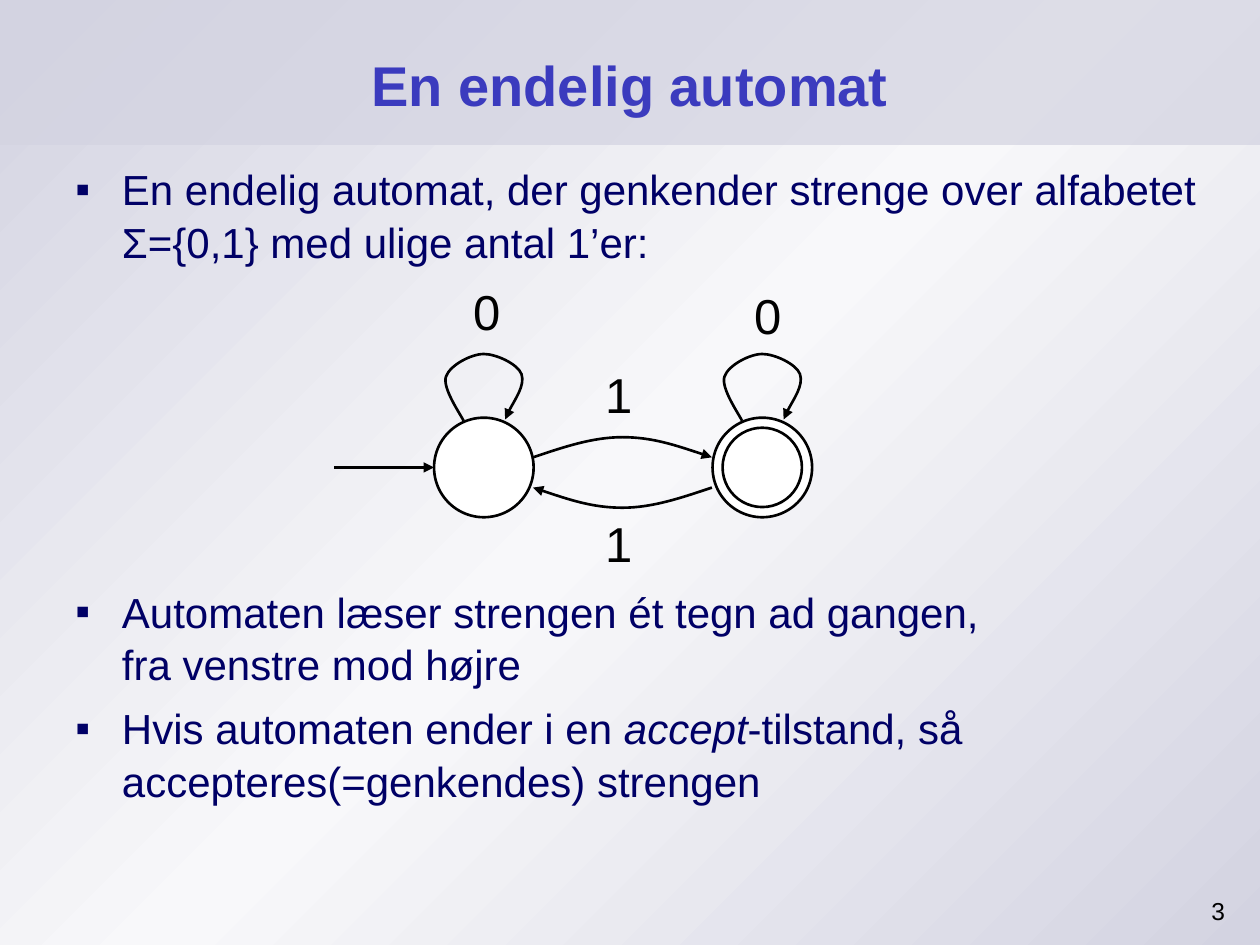
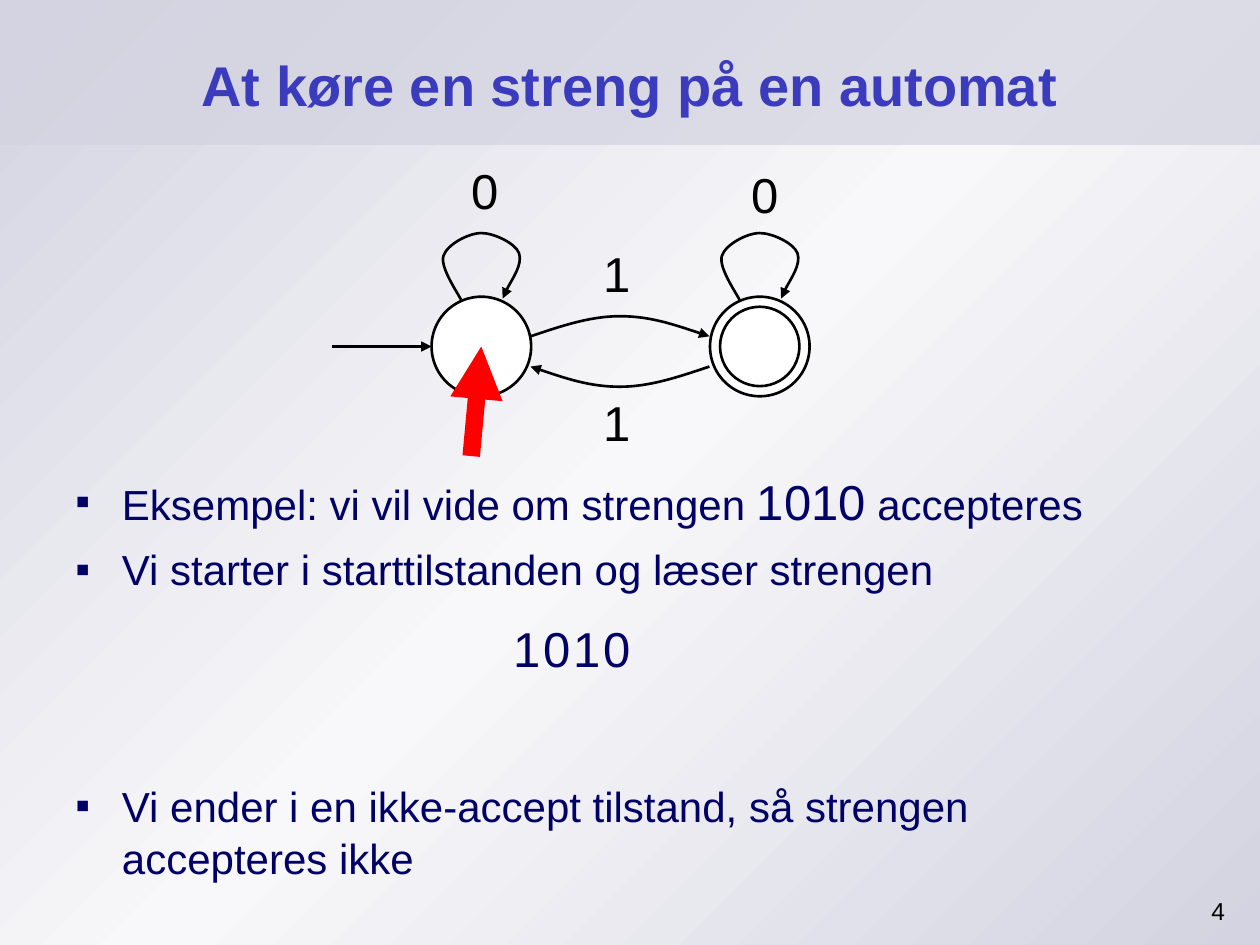
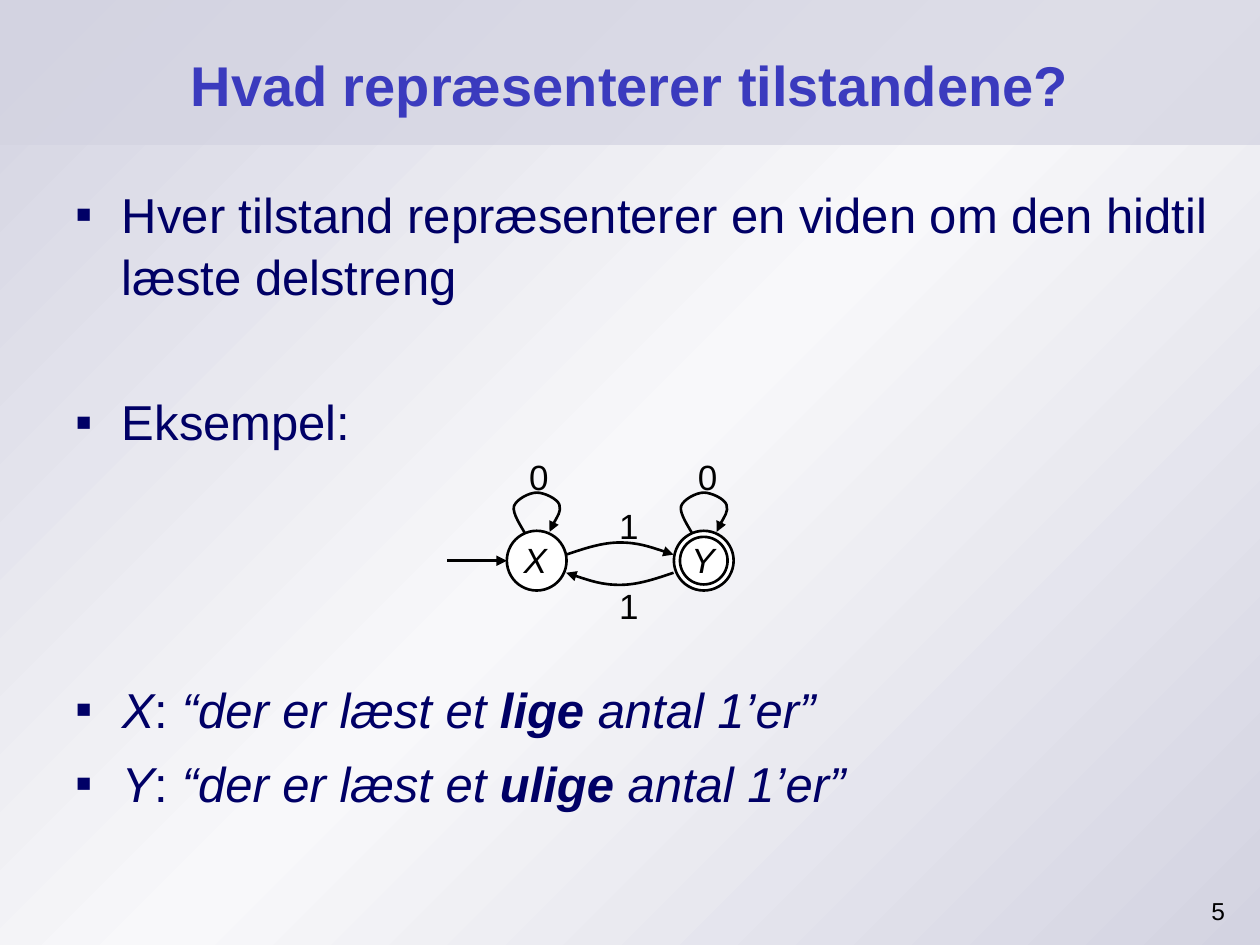
from lxml.etree import SubElement
from pptx import Presentation
from pptx.dml.color import RGBColor
from pptx.enum.shapes import MSO_CONNECTOR, MSO_SHAPE
from pptx.enum.text import MSO_ANCHOR, PP_ALIGN
from pptx.oxml.ns import qn
from pptx.util import Inches, Pt

COLUMNS, ROWS = 100, 75
NAVY, VIOLET, BLACK = "000066", "3B3BBE", "000000"
WHITE, HAZE, MIST, RED = "FFFFFF", "D3D3E1", "F8F8FA", "FF0000"
FONT = "Arial"
LINE_SPACING = 1.05
LINE_HEIGHT = 1.15 * LINE_SPACING
ITALIC, BOLD_ITALIC = {"italic": True}, {"italic": True, "bold": True}

STATE_RADIUS, ACCEPT_RADIUS, STATE_GAP = 3.95, 3.15, 22.1
LOOP = [(-1.6, -3.7), (-1.9, -4.3), (-3.3, -6.3), (-3, -7.2),
        (-2.7, -8.1), (-1, -9), (0, -9), (1, -9), (2.7, -8.2),
        (3, -7.4), (3.3, -6.5), (1.9, -4.5), (1.7, -3.8)]
FORWARD = [(3.9, -0.8), (6.3, -1.6), (8.6, -2.4), (11, -2.4),
           (13.4, -2.4), (15.7, -1.6), (18.1, -0.8)]
BACKWARD = [(22 - x, 0.8 - y) for x, y in FORWARD]
LABELS = [("0", 0.2, -12.4), ("0", 22.5, -12.1), ("1", 10.7, -5.8), ("1", 10.7, 6)]
SMALL_LABELS = [("0", 0.3, -11.2), ("0", 22.6, -11.2), ("1", 12.2, -4.6), ("1", 12.2, 5.9)]


def color(value):
    """Turn a hex string into a colour."""
    return RGBColor.from_string(value)


class Deck:
    """Hold the shared style and the current slide."""

    def __init__(self):
        """Start an empty presentation on the grid."""
        self.presentation = Presentation()
        self.presentation.slide_width = Inches(10)
        self.presentation.slide_height = Inches(7.5)
        self.slide = None

    def across(self, columns):
        """Convert grid columns to a length."""
        return round(self.presentation.slide_width * columns / COLUMNS)

    def down(self, rows):
        """Convert grid rows to a length."""
        return round(self.presentation.slide_height * rows / ROWS)

    def place(self, left, top, width, height):
        """Convert a grid rectangle to lengths."""
        return self.across(left), self.down(top), self.across(width), self.down(height)

    def new_slide(self, title, number):
        """Add a slide with its background, band, title and number."""
        self.slide = self.presentation.slides.add_slide(self.presentation.slide_layouts[6])
        self.backdrop()
        self.band()
        frame = self.text_frame(5, 1.7, 90, 9.9)
        frame.vertical_anchor = MSO_ANCHOR.MIDDLE
        self.line_of_text(frame, title, 32, VIOLET, PP_ALIGN.CENTER, bold=True)
        frame = self.text_frame(90.2, 70.6, 8, 3.9)
        self.line_of_text(frame, str(number), 14, BLACK, PP_ALIGN.RIGHT)

    def shape(self, kind, left, top, width, height, fill=WHITE):
        """Add a filled preset shape without a line."""
        shape = self.slide.shapes.add_shape(kind, *self.place(left, top, width, height))
        shape.shadow.inherit = False
        shape.fill.solid()
        shape.fill.fore_color.rgb = color(fill)
        shape.line.fill.background()
        return shape

    def backdrop(self):
        """Cover the slide with the diagonal gradient."""
        shape = self.shape(MSO_SHAPE.RECTANGLE, 0, 0, COLUMNS, ROWS)
        shape.fill.gradient()
        gradient = shape.element.spPr.find(qn("a:gradFill"))
        stops = gradient.find(qn("a:gsLst"))
        for stop in list(stops):
            stops.remove(stop)
        for position, value in ((0, HAZE), (50, MIST), (100, HAZE)):
            stop = SubElement(stops, qn("a:gs"), pos=str(position * 1000))
            SubElement(stop, qn("a:srgbClr"), val=value)
        shape.fill.gradient_angle = 135

    def band(self):
        """Add the translucent title band."""
        shape = self.shape(MSO_SHAPE.RECTANGLE, 0, 0, COLUMNS, 11.5, HAZE)
        value = shape.element.spPr.find(f"{qn('a:solidFill')}/{qn('a:srgbClr')}")
        SubElement(value, qn("a:alpha"), val="72000")

    def text_frame(self, left, top, width, height):
        """Add a wrapping text box and return its frame."""
        box = self.slide.shapes.add_textbox(*self.place(left, top, width, height))
        box.text_frame.word_wrap = True
        return box.text_frame

    def run(self, paragraph, text, size, value, bold=False, italic=False):
        """Add one styled run."""
        run = paragraph.add_run()
        run.text = text
        font = run.font
        font.name, font.size, font.bold, font.italic = FONT, Pt(size), bold, italic
        font.color.rgb = color(value)

    def line_of_text(self, frame, text, size, value, alignment, **style):
        """Write a single aligned line into a frame."""
        paragraph = frame.paragraphs[0]
        paragraph.alignment = alignment
        self.run(paragraph, text, size, value, **style)

    def label(self, text, x, y, size=28, value=BLACK, **style):
        """Centre a short text on a grid point."""
        frame = self.text_frame(x - 2, y - 2.85, 4, 5.7)
        frame.word_wrap = False
        frame.vertical_anchor = MSO_ANCHOR.MIDDLE
        self.line_of_text(frame, text, size, value, PP_ALIGN.CENTER, **style)

    def bullets(self, top, height, size, before, items):
        """Write bullets, each below a gap of a number of lines."""
        frame = self.text_frame(5, top, 92.3, height)
        for index, (gap_lines, runs) in enumerate(items):
            paragraph = frame.paragraphs[0] if index == 0 else frame.add_paragraph()
            self.bullet_mark(paragraph)
            paragraph.line_spacing = LINE_SPACING
            if index:
                paragraph.space_before = Pt(round(before + gap_lines))
            for text, style in runs:
                for part, piece in enumerate(text.split("\n")):
                    if part:
                        paragraph.add_line_break()
                    self.run(paragraph, piece, **{"size": size, "value": NAVY, **style})

    def bullet_mark(self, paragraph):
        """Give a paragraph a hanging square bullet."""
        properties = paragraph._p.get_or_add_pPr()
        properties.set("marL", str(self.across(3.7)))
        properties.set("indent", str(-self.across(3.7)))
        SubElement(SubElement(properties, qn("a:buClr")), qn("a:srgbClr"), val=NAVY)
        SubElement(properties, qn("a:buFont"), typeface=FONT)
        SubElement(properties, qn("a:buChar"), char="▪")

    def outline(self, shape, width=1.5, value=BLACK, arrow=False):
        """Style a line and give it an arrowhead if asked."""
        shape.line.color.rgb = color(value)
        shape.line.width = Pt(width)
        if arrow:
            SubElement(shape.element.spPr.find(qn("a:ln")), qn("a:tailEnd"), type="triangle")

    def arrow(self, start, end, width=1.5, value=BLACK):
        """Draw a straight arrow between grid points."""
        connector = self.slide.shapes.add_connector(
            MSO_CONNECTOR.STRAIGHT, *self.place(*start, *end))
        self.outline(connector, width, value, arrow=True)
        SubElement(connector.element.spPr, qn("a:effectLst"))

    def curve(self, points):
        """Draw a curved arrow through Bezier grid points."""
        start, *others = [(self.across(x), self.down(y)) for x, y in points]
        builder = self.slide.shapes.build_freeform(*start)
        builder.add_line_segments(others, close=False)
        shape = builder.convert_to_shape()
        shape.shadow.inherit = False
        shape.fill.background()
        self.outline(shape, arrow=True)
        track = next(shape.element.iter(qn("a:path")))
        segments = track.findall(qn("a:lnTo"))
        for first in range(0, len(segments), 3):
            bend = SubElement(track, qn("a:cubicBezTo"))
            for segment in segments[first:first + 3]:
                bend.append(segment[0])
                track.remove(segment)

    def state(self, x, y, radius):
        """Draw a state circle around a grid point."""
        circle = self.shape(MSO_SHAPE.OVAL, x - radius, y - radius, 2 * radius, 2 * radius)
        self.outline(circle)

    def automaton(self, x, y, scale=1, labels=LABELS, label_size=28):
        """Draw the two-state automaton from the centre of its start state."""
        def spot(point, shift=0):
            """Scale a diagram point onto the grid."""
            return x + (point[0] + shift) * scale, y + point[1] * scale

        for shift in (0, STATE_GAP):
            self.state(*spot((shift, 0)), STATE_RADIUS * scale)
        self.state(*spot((STATE_GAP, 0)), ACCEPT_RADIUS * scale)
        self.arrow(spot((-3 * STATE_RADIUS, 0)), spot((-STATE_RADIUS, 0)))
        for points, shift in ((LOOP, 0), (LOOP, STATE_GAP), (FORWARD, 0), (BACKWARD, 0)):
            self.curve([spot(point, shift) for point in points])
        for text, *point in labels:
            self.label(text, *spot(point), label_size)


def blank(lines, size, before):
    """Return the points that a number of empty lines would take."""
    return lines * (size * LINE_HEIGHT + before)


def main():
    """Build the three slides and save them."""
    deck = Deck()

    deck.new_slide("En endelig automat", 3)
    deck.bullets(12.3, 60.6, 24, 6, [
        (0, [("En endelig automat, der genkender strenge over alfabetet "
              "Σ={0,1} med ulige antal 1’er:", {})]),
        (blank(5, 24, 6), [("Automaten læser strengen ét tegn ad gangen,\n"
                            "fra venstre mod højre", {})]),
        (0, [("Hvis automaten ender i en ", {}), ("accept", ITALIC),
             ("-tilstand, så accepteres(=genkendes) strengen", {})]),
    ])
    deck.automaton(38.4, 37.1)

    deck.new_slide("At køre en streng på en automat", 4)
    deck.bullets(36.7, 33.1, 24, 6, [
        (0, [("Eksempel: vi vil vide om strengen ", {}), ("1010", {"size": 28}),
             (" accepteres", {})]),
        (0, [("Vi starter i starttilstanden og læser strengen", {})]),
        (blank(3, 24, 4), [("Vi ender i en ikke-accept tilstand, så strengen\n"
                            "accepteres ikke", {})]),
    ])
    deck.automaton(38.2, 27.5)
    for index, digit in enumerate("1010"):
        deck.label(digit, 41.8 + 2.37 * index, 51.4, value=NAVY)
    deck.arrow((37.4, 36.2), (38.2, 27.5), 10, RED)

    deck.new_slide("Hvad repræsenterer tilstandene?", 5)
    meanings = [
        (gap, [(name, ITALIC), (": ", {}), ("“der er læst et ", ITALIC),
               (parity, BOLD_ITALIC), (" antal 1’er”", ITALIC)])
        for gap, name, parity in ((blank(3, 28, 7), "X", "lige"), (0, "Y", "ulige"))
    ]
    deck.bullets(13.9, 55.9, 28, 7, [
        (0, [("Hver tilstand repræsenterer en viden om den hidtil læste delstreng", {})]),
        (blank(1, 28, 7), [("Eksempel:", {})]),
        *meanings,
    ])
    deck.automaton(42.6, 44.5, 0.6, SMALL_LABELS, 20)
    for index, name in enumerate("XY"):
        deck.label(name, 42.5 + 13.3 * index, 44.4, 20, italic=True)

    deck.presentation.save("out.pptx")


if __name__ == "__main__":
    main()
